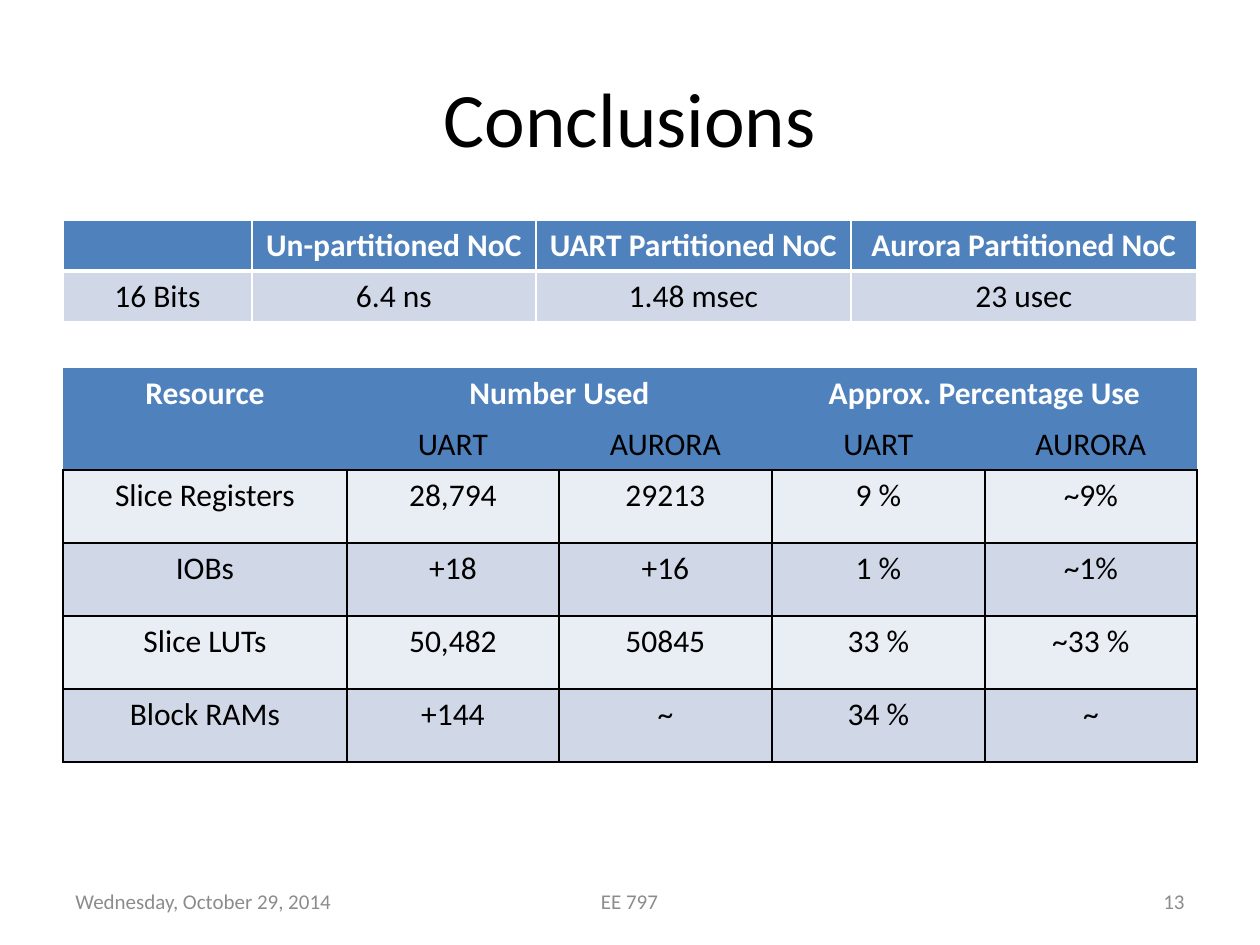
from lxml import etree
from pptx import Presentation
from pptx import util as u
from pptx.dml.color import RGBColor
from pptx.enum import text
from pptx.oxml.ns import qn

SCALE = 914400 // 126
FONT = "Calibri"
BLUE, BAND, PALE = "4F81BD", "D0D8E8", "E9EDF4"
WHITE, BLACK, GREY = "FFFFFF", "000000", "8C8C8C"
LEFT, CENTER, RIGHT = text.PP_ALIGN.LEFT, text.PP_ALIGN.CENTER, text.PP_ALIGN.RIGHT


def px(length):
    return u.Emu(length * SCALE)


def color(value):
    return RGBColor.from_string(value)


def write(frame, wording, size, ink, align=CENTER, bold=False):
    paragraph = frame.paragraphs[0]
    paragraph.alignment = align
    font = paragraph.font
    font.name, font.size, font.bold = FONT, u.Pt(size), bold
    font.color.rgb = color(ink)
    if wording:
        paragraph.add_run().text = wording


def label(slide, box, wording, size, ink, align=CENTER):
    frame = slide.shapes.add_textbox(*map(px, box)).text_frame
    frame.word_wrap = True
    frame.vertical_anchor = text.MSO_ANCHOR.MIDDLE
    write(frame, wording, size, ink, align)


def border(cell, **edges):
    properties = cell._tc.get_or_add_tcPr()
    for position, side in enumerate("LRTB"):
        ink, width = edges.get(side, (None, 0))
        line = etree.Element(qn(f"a:ln{side}"), w=str(u.Pt(width)))
        if ink:
            fill = etree.SubElement(line, qn("a:solidFill"))
            etree.SubElement(fill, qn("a:srgbClr"), val=ink)
        else:
            etree.SubElement(line, qn("a:noFill"))
        properties.insert(position, line)


def grid(slide, box, widths, heights, rows, style):
    table = slide.shapes.add_table(len(rows), len(widths), *map(px, box)).table
    for column, width in zip(table.columns, widths):
        column.width = px(width)
    for row, height in zip(table.rows, heights):
        row.height = px(height)
    for r, values in enumerate(rows):
        fill, ink, bold, edges = style(r)
        for c, value in enumerate(values):
            cell = table.cell(r, c)
            cell.fill.solid()
            cell.fill.fore_color.rgb = color(fill)
            write(cell.text_frame, value, 18, ink, bold=bold)
            border(cell, **edges)
    return table


def latency_table(slide, box):
    thin, thick = (WHITE, 1), (WHITE, 3)

    def style(r):
        if r == 0:
            return BLUE, WHITE, True, dict(L=thin, R=thin, T=thin, B=thick)
        return BAND, BLACK, False, dict(L=thin, R=thin, T=thick, B=thin)

    rows = [
        ["", "Un-partitioned NoC", "UART Partitioned NoC", "Aurora Partitioned NoC"],
        ["16 Bits", "6.4 ns", "1.48 msec", "23 usec"],
    ]
    grid(slide, box, [189, 284, 315, 346], [51, 51], rows, style)


def resource_table(slide, box):
    rule = (BLACK, 1)

    def style(r):
        if r < 2:
            edges = dict(B=rule) if r else {}
            return BLUE, BLACK if r else WHITE, r == 0, edges
        return BAND if r % 2 else PALE, BLACK, False, dict.fromkeys("LRTB", rule)

    rows = [
        ["Resource", "Number Used", "", "Approx. Percentage Use", ""],
        ["", "UART", "AURORA", "UART", "AURORA"],
        ["Slice Registers", "28,794", "29213", "9 %", "~9%"],
        ["IOBs", "+18", "+16", "1 %", "~1%"],
        ["Slice LUTs", "50,482", "50845", "33 %", "~33 %"],
        ["Block RAMs", "+144", "~", "34 %", "~"],
    ]
    heights = [51] * 2 + [73] * 4
    table = grid(slide, box, [284, 212, 213, 213, 212], heights, rows, style)
    for first, last in [((0, 0), (1, 0)), ((0, 1), (0, 2)), ((0, 3), (0, 4))]:
        table.cell(*first).merge(table.cell(*last))
    border_cell = table.cell(0, 0)
    for line in border_cell._tc.tcPr.findall(qn("a:lnB")):
        border_cell._tc.tcPr.remove(line)
    for line in list(border_cell._tc.tcPr)[:3]:
        border_cell._tc.tcPr.remove(line)
    border(border_cell, B=rule)


def footer(slide, box):
    left, top, width, height = box
    side, middle = 294, 399
    label(slide, (left, top, side, height), "Wednesday, October 29, 2014", 12, GREY, LEFT)
    label(slide, (left + (width - middle) // 2, top, middle, height), "EE 797", 12, GREY)
    label(slide, (left + width - side, top, side, height), "13", 12, GREY, RIGHT)


def conclusions(deck):
    slide = deck.slides.add_slide(deck.slide_layouts[6])
    label(slide, (63, 38, 1134, 157), "Conclusions", 44, BLACK)
    latency_table(slide, (63, 220, 1134, 102))
    footer(slide, (63, 876, 1134, 50))
    resource_table(slide, (63, 368, 1134, 394))


deck = Presentation()
deck.slide_width, deck.slide_height = px(1260), px(945)
conclusions(deck)
deck.save("out.pptx")
